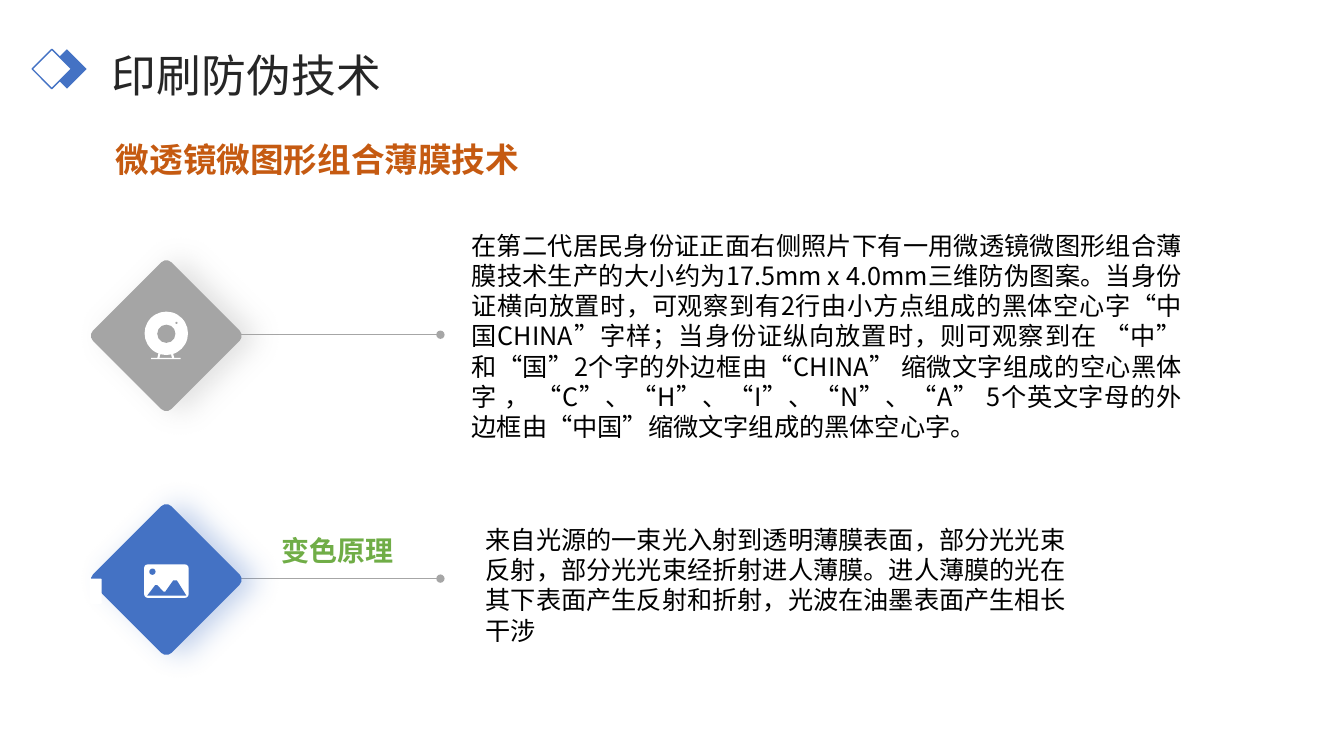
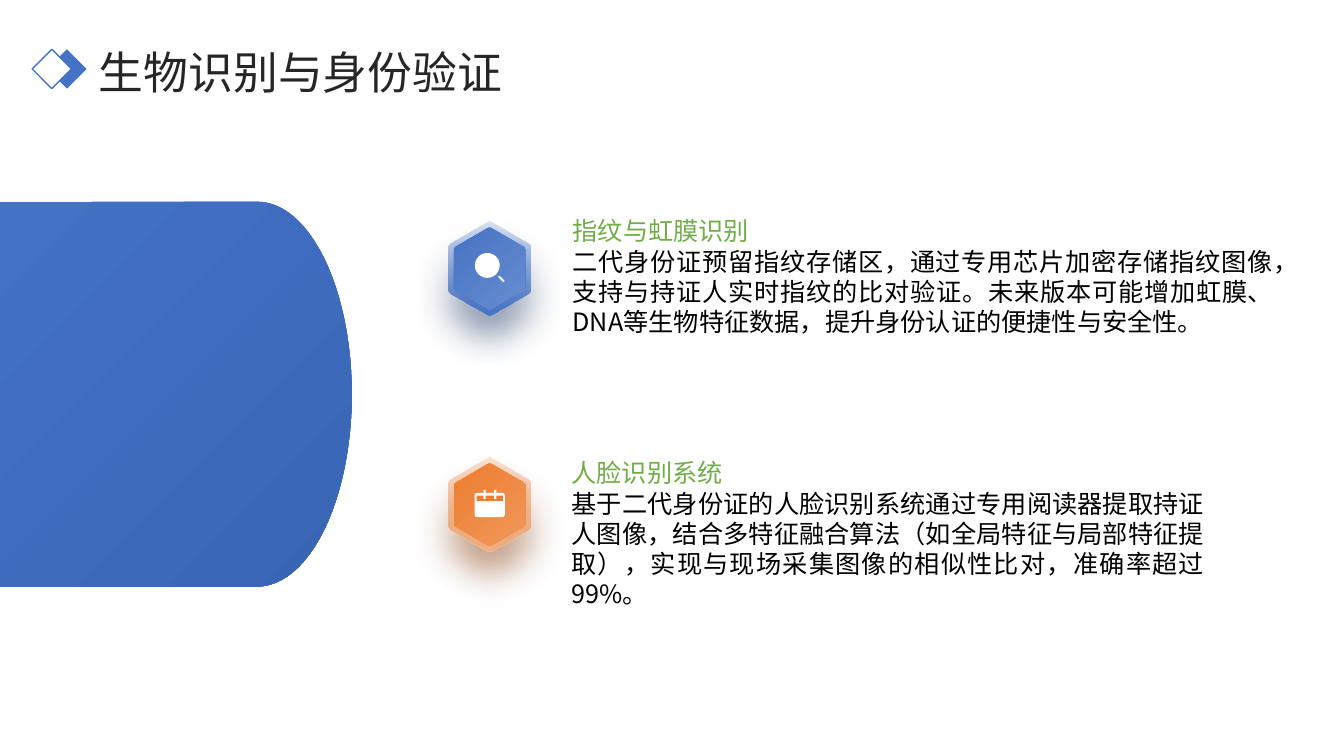
from itertools import chain
from math import cos, pi, sin

from lxml.etree import SubElement
from pptx import Presentation
from pptx.dml.color import RGBColor
from pptx.enum.shapes import MSO_CONNECTOR as LINE, MSO_SHAPE as SHAPE
from pptx.enum.text import MSO_ANCHOR as ANCHOR, PP_ALIGN as ALIGN
from pptx.oxml.ns import qn
from pptx.util import Pt

FONT = "Noto Sans CJK SC"
WHITE = RGBColor(0xFF, 0xFF, 0xFF)
BLACK = RGBColor(0, 0, 0)
INK = RGBColor(0x26, 0x26, 0x26)
GRAY = RGBColor(0xA5, 0xA5, 0xA5)
RULE = RGBColor(0xA6, 0xA6, 0xA6)
BLUE = RGBColor(0x44, 0x72, 0xC4)
BLUE_DEEP = RGBColor(0x39, 0x65, 0xB5)
BLUE_RIM = RGBColor(0x48, 0x75, 0xC5)
BLUE_SOFT = RGBColor(0x69, 0x8E, 0xD0)
NAVY = RGBColor(0x20, 0x38, 0x64)
ORANGE = RGBColor(0xED, 0x7D, 0x31)
ORANGE_RIM = RGBColor(0xF4, 0xB1, 0x83)
ORANGE_SOFT = RGBColor(0xF1, 0x97, 0x5A)
BROWN = RGBColor(0x84, 0x3C, 0x0B)
RUST = RGBColor(0xC5, 0x5A, 0x11)
GREEN = RGBColor(0x70, 0xAD, 0x47)

LENS_TEXT = (
    "在第二代居民身份证正面右侧照片下有一用微透镜微图形组合薄膜技术生产的大小约为"
    "17.5mm x 4.0mm三维防伪图案。当身份证横向放置时，可观察到有2行由小方点组成的"
    "黑体空心字“中国CHINA”字样；当身份证纵向放置时，则可观察到在 “中” 和“国”2个字的"
    "外边框由“CHINA” 缩微文字组成的空心黑体字 ， “C”、“H”、“I”、“N”、“A” 5个"
    "英文字母的外边框由“中国”缩微文字组成的黑体空心字。"
)
COLOR_TEXT = (
    "来自光源的一束光入射到透明薄膜表面，部分光光束反射，部分光光束经折射进人薄膜。"
    "进人薄膜的光在其下表面产生反射和折射，光波在油墨表面产生相长干涉"
)
FINGER_TEXT = (
    "二代身份证预留指纹存储区，通过专用芯片加密存储指纹图像，支持与持证人实时指纹的"
    "比对验证。未来版本可能增加虹膜、DNA等生物特征数据，提升身份认证的便捷性与安全性。"
)
FACE_TEXT = (
    "基于二代身份证的人脸识别系统通过专用阅读器提取持证人图像，结合多特征融合算法"
    "（如全局特征与局部特征提取），实现与现场采集图像的相似性比对，准确率超过99%。"
)


def add_solid(slide, kind, box, color, adjust=None):
    """Place a borderless preset shape in a box of points."""
    shape = slide.shapes.add_shape(kind, *map(Pt, box))
    shape.shadow.inherit = False
    shape.fill.solid()
    shape.fill.fore_color.rgb = color
    shape.line.fill.background()
    if adjust is not None:
        shape.adjustments[0] = adjust
    return shape


def add_outline(slide, points):
    """Place a closed borderless freeform through points."""
    corners = [(Pt(x), Pt(y)) for x, y in points]
    builder = slide.shapes.build_freeform(*corners[0], scale=1.0)
    builder.add_line_segments(corners[1:], close=True)
    shape = builder.convert_to_shape()
    shape.shadow.inherit = False
    shape.line.fill.background()
    return shape


def fill_gradient(shape, start, end, clockwise, opacity=None):
    """Fill a shape with two colours, the first one see-through if asked."""
    shape.fill.gradient()
    shape.fill.gradient_angle = 360 - clockwise
    for stop, color in zip(shape.fill.gradient_stops, (start, end)):
        stop.color.rgb = color
    if opacity is not None:
        first = next(shape.element.spPr.iter(qn("a:srgbClr")))
        SubElement(first, qn("a:alpha"), val=str(opacity * 1000))


def add_glow(shape, color, opacity, blur, distance, angle):
    """Give a shape a soft outer shadow."""
    effects = shape.element.spPr.find(qn("a:effectLst"))
    shadow = SubElement(
        effects, qn("a:outerShdw"), blurRad=str(Pt(blur)), dist=str(Pt(distance)),
        dir=str(angle * 60000), algn="ctr", rotWithShape="0")
    tint = SubElement(shadow, qn("a:srgbClr"), val=str(color))
    SubElement(tint, qn("a:alpha"), val=str(opacity * 1000))


def add_line(slide, start, end, color, width):
    """Draw a straight line between two points and return its line element."""
    line = slide.shapes.add_connector(LINE.STRAIGHT, *map(Pt, start + end))
    line.line.color.rgb = color
    line.line.width = Pt(width)
    SubElement(line.element.spPr, qn("a:effectLst"))
    return line.element.spPr.find(qn("a:ln"))


def add_text(slide, box, paragraphs, size, align=None, margin=0, bold=False,
             spacing=None, anchor=ANCHOR.TOP):
    """Write paragraphs of (text, colour) in a box without insets."""
    frame = slide.shapes.add_textbox(*map(Pt, box)).text_frame
    frame.word_wrap = True
    frame.vertical_anchor = anchor
    frame.margin_left = frame.margin_right = frame.margin_top = frame.margin_bottom = 0
    for index, (text, color) in enumerate(paragraphs):
        paragraph = frame.add_paragraph() if index else frame.paragraphs[0]
        paragraph.alignment = align
        if spacing:
            paragraph.line_spacing = spacing
        if margin:
            properties = paragraph._p.get_or_add_pPr()
            properties.set("marL", str(Pt(margin)))
            properties.set("indent", "0")
        run = paragraph.add_run()
        run.text = text
        run.font.size = Pt(size)
        run.font.bold = bold
        run.font.name = FONT
        run.font.color.rgb = color
        SubElement(run.font._element, qn("a:ea"), typeface=FONT)


def add_parts(slide, center, parts):
    """Build an icon of preset shapes placed around its centre."""
    cx, cy = center
    for kind, x, y, width, height, color in parts:
        adjust = 0.1 if kind == SHAPE.ROUNDED_RECTANGLE else None
        add_solid(slide, kind, (cx + x, cy + y, width, height), color, adjust)


def draw_header(slide, title, left, top):
    """Draw the double diamond and the slide title."""
    for x, color in ((33.8, BLUE), (23, WHITE)):
        mark = add_solid(slide, SHAPE.DIAMOND, (x, 35.2, 28.1, 28.1), color)
    mark.line.color.rgb = BLUE
    mark.line.width = Pt(1)
    add_text(slide, (left, top, 836, 36.7), [(title, INK)], 32,
             spacing=1.1, anchor=ANCHOR.MIDDLE)


def draw_diamond(slide, center, color):
    """Draw a glowing diamond and the dotted-end rule that leaves it."""
    cx, cy = center
    side = 79.2
    rule = add_line(slide, (cx + 50, cy - 0.7), (314.6, cy - 0.7), RULE, 0.5)
    SubElement(rule, qn("a:tailEnd"), type="oval")
    tile = add_solid(slide, SHAPE.ROUNDED_RECTANGLE,
                     (cx - side / 2, cy - side / 2, side, side), color, 0.065)
    tile.rotation = 45
    add_glow(tile, color, 32, 20, 10, 0)


def draw_camera(slide, center):
    """Draw the webcam icon."""
    add_parts(slide, center, (
        (SHAPE.TRAPEZOID, -6.6, 11.5, 12.4, 5, WHITE),
        (SHAPE.TRAPEZOID, -4.8, 13.2, 8.8, 2.6, GRAY),
        (SHAPE.RECTANGLE, -10.8, 15.8, 21, 1, WHITE),
        (SHAPE.OVAL, -15.5, -17.2, 31, 31, WHITE),
        (SHAPE.OVAL, -6.5, -7.9, 13, 13, GRAY),
        (SHAPE.OVAL, 6.5, -9.9, 1.5, 1.5, GRAY),
    ))


def draw_photo(slide, center):
    """Draw the landscape icon and the white notch at the diamond's tip."""
    cx, cy = center
    add_parts(slide, center, (
        (SHAPE.ROUNDED_RECTANGLE, -15.8, -10.8, 31.7, 23.8, WHITE),
        (SHAPE.OVAL, -12.2, -7.9, 4.5, 4.5, BLUE),
        (SHAPE.ROUNDED_RECTANGLE, -54.7, -0.7, 8.6, 18, WHITE),
    ))
    ridge = ((-13.7, 11.5), (-8, 4), (-6.4, 4), (-2, 8.7), (-0.8, 8.7),
             (5, 0.5), (7.5, 0.5), (14.4, 11.5))
    hills = add_outline(slide, [(cx + x, cy + y) for x, y in ridge])
    hills.fill.solid()
    hills.fill.fore_color.rgb = BLUE


def hexagon_points(center, width, height, cut=0.06, steps=4):
    """List the points of an upright hexagon with rounded corners."""
    cx, cy = center
    corners = [(cx + width * x / 2, cy + height * y / 4)
               for x, y in ((0, -2), (1, -1), (1, 1), (0, 2), (-1, 1), (-1, -1))]

    def bend(index):
        """Round one corner with a quadratic curve."""
        x, y = corners[index]
        (ax, ay), (bx, by) = corners[index - 1], corners[(index + 1) % 6]
        for step in range(steps + 1):
            t = step / steps
            before, after = cut * (1 - t) ** 2, cut * t ** 2
            yield (x + before * (ax - x) + after * (bx - x),
                   y + before * (ay - y) + after * (by - y))

    return list(chain.from_iterable(map(bend, range(6))))


def draw_hexagon(slide, center, color, rim, soft, shade):
    """Draw a glossy hexagon with a fading rim."""
    outer = add_outline(slide, hexagon_points(center, 58.6, 68))
    fill_gradient(outer, color, rim, 90, 20)
    add_glow(outer, shade, 65, 26, 16, 90)
    inner = add_outline(slide, hexagon_points(center, 51, 59.4))
    fill_gradient(inner, color, soft, 45)


def draw_magnifier(slide, center):
    """Draw the magnifier icon."""
    cx, cy = center
    add_parts(slide, center, ((SHAPE.OVAL, -10.4, -11.2, 17.8, 17.8, WHITE),))
    handle = add_line(slide, (cx + 6.8, cy + 5.6), (cx + 10.2, cy + 9), WHITE, 1.4)
    handle.set("cap", "rnd")


def draw_calendar(slide, center):
    """Draw the calendar icon."""
    rings = [(SHAPE.ROUNDED_RECTANGLE, x, -10.4, 1.6, 6.5, WHITE) for x in (-4.4, 3.2)]
    add_parts(slide, center, [
        (SHAPE.ROUNDED_RECTANGLE, -10.8, -8.3, 21.6, 17.3, WHITE),
        (SHAPE.RECTANGLE, -9.4, -6.4, 18.8, 3.8, ORANGE),
        *rings,
    ])


def draw_panel(slide, top, straight, bulge, height):
    """Draw the blue panel whose right end is half an ellipse."""
    half, steps = height / 2, 48
    angles = [pi * step / steps - pi / 2 for step in range(steps + 1)]
    curve = [(straight + bulge * cos(a), top + half + half * sin(a)) for a in angles]
    panel = add_outline(slide, [(0, top), *curve, (0, top + height)])
    fill_gradient(panel, BLUE, BLUE_DEEP, 45)


def build_printing(slide):
    """Build the slide on printed security features."""
    draw_header(slide, "印刷防伪技术", 80, 33.1)
    add_text(slide, (82.8, 78.5, 293.8, 55.4), [("微透镜微图形组合薄膜技术", RUST)], 24,
             bold=True, spacing=1.5, anchor=ANCHOR.MIDDLE)
    lens, color = (118.8, 239.8), (118.8, 414)
    draw_diamond(slide, lens, GRAY)
    draw_camera(slide, lens)
    draw_diamond(slide, color, BLUE)
    draw_photo(slide, color)
    add_text(slide, (300.2, 164.2, 544.3, 151.2), [(LENS_TEXT, BLACK)], 18,
             ALIGN.JUSTIFY, 36.7)
    add_text(slide, (310.3, 374.4, 456.5, 105), [(COLOR_TEXT, BLACK)], 18, margin=36.7)
    add_text(slide, (164.2, 380.9, 137.5, 41.8), [("变色原理", GREEN)], 20,
             ALIGN.JUSTIFY, 36.7, bold=True)


def build_biometrics(slide):
    """Build the slide on biometric checks."""
    draw_header(slide, "生物识别与身份验证", 70.6, 31)
    draw_panel(slide, 144, 183.6, 67.7, 275)
    finger, face = (349.6, 191.9), (349.8, 360.4)
    draw_hexagon(slide, finger, BLUE, BLUE_RIM, BLUE_SOFT, NAVY)
    draw_magnifier(slide, finger)
    draw_hexagon(slide, face, ORANGE, ORANGE_RIM, ORANGE_SOFT, BROWN)
    draw_calendar(slide, face)
    for box, heading, body in (
        ((391, 154.1, 519, 64.8), "指纹与虹膜识别", FINGER_TEXT),
        ((390.2, 326.9, 470.2, 64.8), "人脸识别系统", FACE_TEXT),
    ):
        add_text(slide, box, [(heading, GREEN), (body, BLACK)], 18, ALIGN.JUSTIFY, 18)


def main():
    """Build and save the presentation."""
    deck = Presentation()
    deck.slide_width, deck.slide_height = Pt(960), Pt(540)
    for build in (build_printing, build_biometrics):
        build(deck.slides.add_slide(deck.slide_layouts[6]))
    deck.save("out.pptx")


if __name__ == "__main__":
    main()
